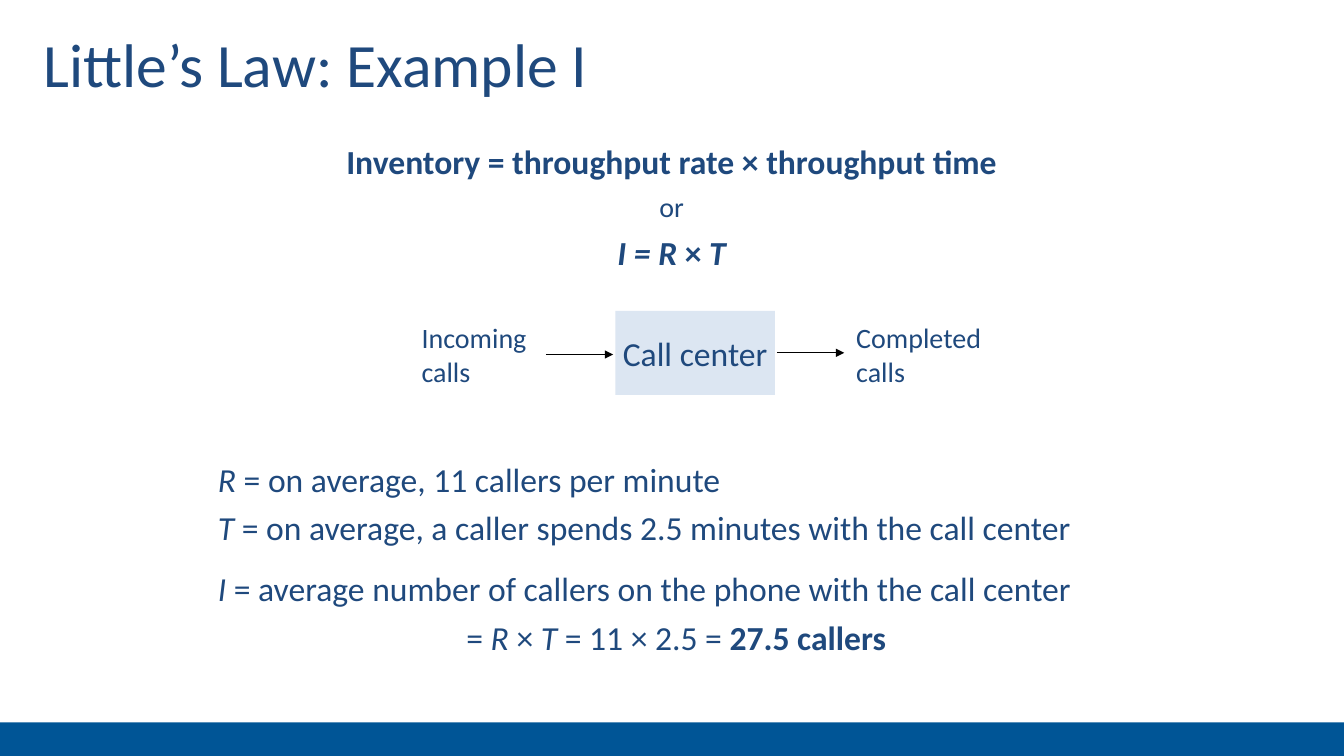
from lxml.etree import SubElement
from pptx import Presentation
from pptx.dml.color import RGBColor
from pptx.enum.shapes import MSO_CONNECTOR, MSO_SHAPE
from pptx.enum.text import MSO_ANCHOR, PP_ALIGN
from pptx.oxml.ns import qn
from pptx.util import Pt

COLORS = {"text": "1F497D", "process": "DCE6F2", "footer": "005596", "arrow": "000000"}
LEFT, CENTER = PP_ALIGN.LEFT, PP_ALIGN.CENTER


class SlideBuilder:
    """Holds the slide style and the current page, and adds elements in points."""

    def __init__(self, page, font="Calibri"):
        self.page = page
        self.font = font

    def color(self, name):
        return RGBColor.from_string(COLORS[name])

    def set_text(self, frame, paragraphs, gap=6):
        for index, (align, size, spans) in enumerate(paragraphs):
            para = frame.add_paragraph() if index else frame.paragraphs[0]
            para.alignment = align
            if index:
                para.space_before = Pt(gap)
            para.font.name = self.font
            para.font.size = Pt(size)
            para.font.color.rgb = self.color("text")
            for text, style in spans:
                span = para.add_run()
                span.text = text
                if "b" in style:
                    span.font.bold = True
                if "i" in style:
                    span.font.italic = True

    def title(self, text, size, *area):
        title = self.page.shapes.title
        title.left, title.top, title.width, title.height = map(Pt, area)
        title.text_frame.vertical_anchor = MSO_ANCHOR.MIDDLE
        self.set_text(title.text_frame, [(LEFT, size, [(text, "")])])

    def text(self, paragraphs, *area):
        box = self.page.shapes.add_textbox(*map(Pt, area))
        box.text_frame.word_wrap = True
        self.set_text(box.text_frame, paragraphs)

    def rectangle(self, fill, *area, paragraphs=()):
        box = self.page.shapes.add_shape(MSO_SHAPE.RECTANGLE, *map(Pt, area))
        box.shadow.inherit = False
        box.fill.solid()
        box.fill.fore_color.rgb = self.color(fill)
        box.line.fill.background()
        box.text_frame.word_wrap = False
        box.text_frame.vertical_anchor = MSO_ANCHOR.MIDDLE
        self.set_text(box.text_frame, paragraphs)

    def arrow(self, left, top, length):
        ends = map(Pt, (left, top, left + length, top))
        arrow = self.page.shapes.add_connector(MSO_CONNECTOR.STRAIGHT, *ends)
        arrow.line.color.rgb = self.color("arrow")
        arrow.line.width = Pt(1)
        properties = arrow.element.spPr
        SubElement(properties.find(qn("a:ln")), qn("a:tailEnd"), type="triangle")
        SubElement(properties, qn("a:effectLst"))


def main():
    deck = Presentation()
    deck.slide_width, deck.slide_height = Pt(960), Pt(540)
    slide = SlideBuilder(deck.slides.add_slide(deck.slide_layouts[5]))

    slide.rectangle("footer", 0, 516, 960, 24)
    slide.title("Little’s Law: Example I", 44, 24, 12, 912, 66)
    slide.text([
        (CENTER, 24, [("Inventory = throughput rate × throughput time", "b")]),
        (CENTER, 20, [("or", "")]),
        (CENTER, 24, [("I = R ", "bi"), ("×", "b"), (" T", "bi")]),
    ], 223.5, 97, 512.5, 90)

    slide.rectangle("process", 439.5, 222, 114, 60,
                    paragraphs=[(CENTER, 24, [("Call center", "")])])
    for label, left, width in (("Incoming calls", 294, 96), ("Completed calls", 604.5, 108)):
        slide.text([(LEFT, 20, [(label, "")])], left, 225.5, width, 50)
    for left, top in ((390, 253.2), (555, 252)):
        slide.arrow(left, top, 48)

    slide.text([
        (LEFT, 24, [("R", "i"), (" = on average, 11 callers per minute", "")]),
        (LEFT, 24, [("T", "i"),
                    (" = on average, a caller spends 2.5 minutes with the call center", "")]),
    ], 148.5, 324, 669, 67)
    slide.text([
        (LEFT, 24, [("I", "i"),
                    (" = average number of callers on the phone with the call center", "")]),
        (CENTER, 24, [("= ", ""), ("R", "i"), (" ×", ""), (" T", "i"),
                      (" = 11 × 2.5 = ", ""), ("27.5 callers", "b")]),
    ], 148.5, 402, 669, 67)
    deck.save("out.pptx")


if __name__ == "__main__":
    main()
